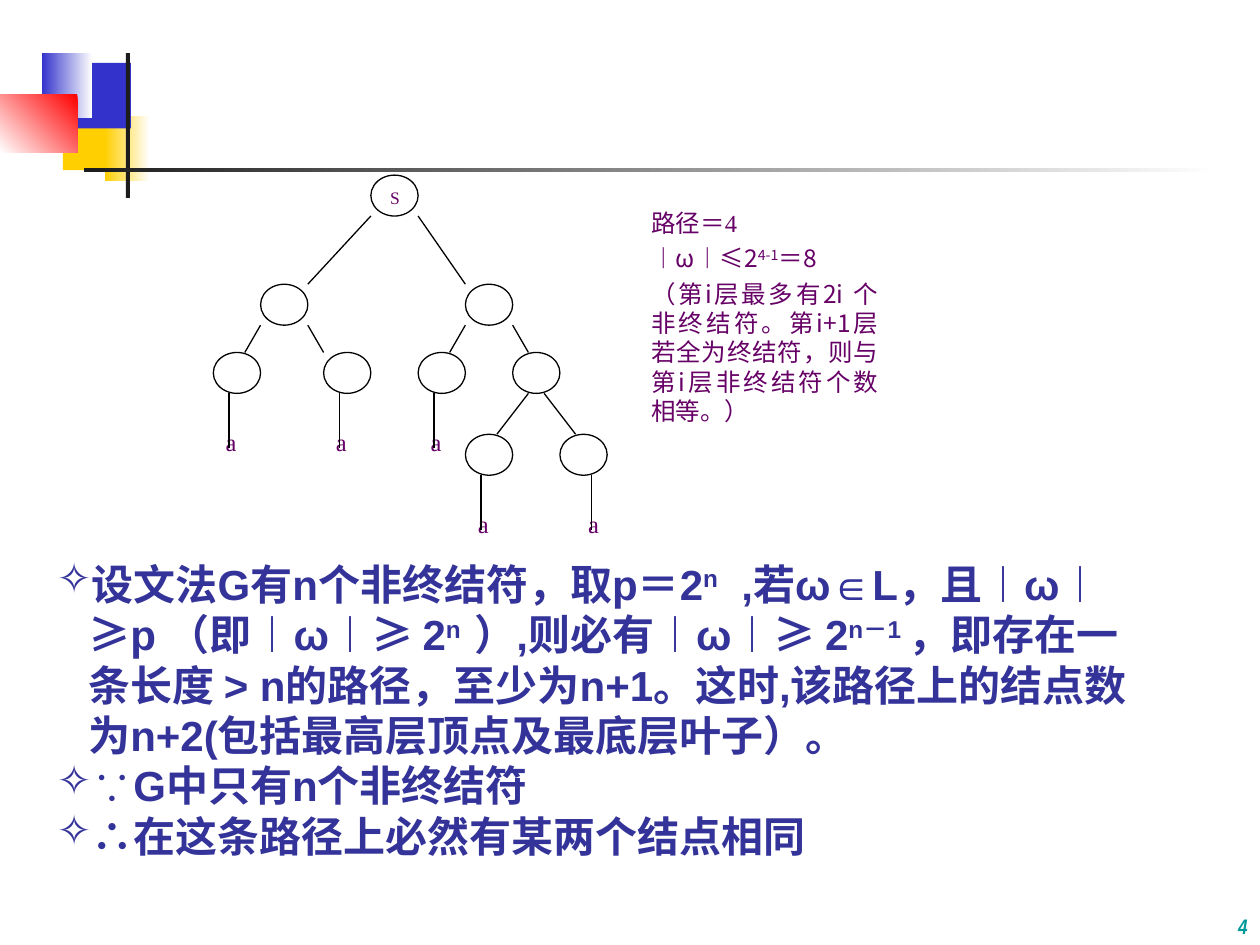
from typing import NamedTuple

from lxml.etree import SubElement
from pptx import Presentation
from pptx.dml.color import RGBColor
from pptx.enum.shapes import MSO_CONNECTOR, MSO_SHAPE
from pptx.enum.text import MSO_ANCHOR, PP_ALIGN
from pptx.oxml.ns import qn
from pptx.util import Cm, Pt

INK, PLUM, NAVY = "000000", "660066", "333399"
SANS, SERIF, HAN = "Arial", "Times New Roman", "Noto Sans CJK SC"

# The tree stands on a grid: a node is three cells wide and three high.
LEFT, TOP = 4.3, 3.53
DX, DY = 7.94 / 25, 6.05 / 22


class Block(NamedTuple):
    x: float
    y: float
    w: float
    h: float
    hue: str
    end: str = ""
    angle: int = 180


class Node(NamedTuple):
    col: int
    row: int
    text: str = ""


class Edge(NamedTuple):
    col: int
    row: int
    to_col: int
    to_row: int


class Run(NamedTuple):
    text: str
    sup: bool = False
    font: str = ""


BLOCKS = [
    Block(1.27, 2.11, 1.22, 1.32, "FFCF01"),
    Block(2.11, 2.34, 0.91, 1.32, "FFFFFF", "FFCF01"),
    Block(1.47, 1.27, 1.17, 1.32, "3333CC"),
    Block(0.84, 1.07, 1.02, 1.32, "FFFFFF", "3333CC"),
    Block(0, 1.9, 1.56, 1.17, "FF0000", "FFFFFF", 225),
    Block(2.54, 1.07, 0.08, 2.92, "1C1C1C"),
    Block(1.7, 3.38, 22.86, 0.08, "FFFFFF", "1C1C1C"),
]

NODES = [
    Node(10, 0, "S"),
    Node(3, 8), Node(16, 8),
    Node(0, 13), Node(7, 13), Node(13, 13), Node(19, 13),
    Node(16, 19), Node(22, 19),
]

EDGES = [
    Edge(10, 3, 6, 8), Edge(13, 3, 16, 8),
    Edge(3, 11, 2, 13), Edge(6, 11, 7, 13),
    Edge(16, 11, 15, 13), Edge(19, 11, 20, 13),
    Edge(20, 16, 18, 19), Edge(21, 16, 23, 19),
]

LEAVES = [Node(col, row, "a") for col, row in
          [(0, 18), (7, 18), (13, 18), (16, 24), (23, 24)]]

NOTE = [
    [Run("路径＝4")],
    [Run("︱"), Run("ω︱≤2", font=HAN), Run("4-1", True, HAN),
     Run("＝8", font=HAN)],
    [Run("（第i层最多有2i 个非终结符。第i+1层若全为终结符，"
         "则与第i层非终结符个数相等。）", font=HAN)],
]

PROOF = [
    [Run("设文法G有n个非终结符，取p＝2"), Run("n", True),
     Run("  ,若ω∈L，且︱ω︱≥p （即︱ω︱≥ 2"), Run("n  ", True),
     Run("）,则必有︱ω︱≥ 2"), Run("n－1 ", True),
     Run("，即存在一条长度 > n的路径，至少为n+1。这时,"
         "该路径上的结点数为n+2(包括最高层顶点及最底层叶子）。")],
    [Run("∵G中只有n个非终结符")],
    [Run("∴在这条路径上必然有某两个结点相同")],
]


def rgb(hue: str) -> RGBColor:
    return RGBColor.from_string(hue)


def grid(col: int, row: int) -> tuple:
    return Cm(LEFT + col * DX), Cm(TOP + row * DY)


def add_bullet(para, mark: str, hue: str) -> None:
    props = para._p.get_or_add_pPr()
    props.set("marL", str(Cm(0.64)))
    props.set("indent", str(-Cm(0.64)))
    tint = SubElement(props, qn("a:buClr"))
    SubElement(tint, qn("a:srgbClr")).set("val", hue)
    SubElement(props, qn("a:buChar")).set("char", mark)


def write(shape, paras, *, size, font=SERIF, hue=PLUM, bold=False,
          italic=False, align=PP_ALIGN.JUSTIFY, anchor=MSO_ANCHOR.TOP,
          line=None, gap=0, bullet="") -> None:
    frame = shape.text_frame
    frame.word_wrap = True
    frame.vertical_anchor = anchor
    for i, runs in enumerate(paras):
        para = frame.add_paragraph() if i else frame.paragraphs[0]
        para.alignment = align
        if line:
            para.line_spacing = Pt(line)
        if i and gap:
            para.space_before = Pt(gap)
        if bullet:
            add_bullet(para, bullet, hue)
        for item in runs:
            run = para.add_run()
            run.text = item.text
            face = run.font
            face.size, face.bold, face.italic = Pt(size), bold, italic
            face.color.rgb = rgb(hue)
            face.name = item.font or font
            props = run._r.get_or_add_rPr()
            SubElement(props, qn("a:ea")).set("typeface", HAN)
            if item.sup:
                props.set("baseline", "30000")


def add_box(shapes, x: float, y: float, w: float, h: float):
    return shapes.add_textbox(Cm(x), Cm(y), Cm(w), Cm(h))


def draw_block(shapes, block: Block) -> None:
    shape = shapes.add_shape(MSO_SHAPE.RECTANGLE, Cm(block.x), Cm(block.y),
                             Cm(block.w), Cm(block.h))
    shape.shadow.inherit = False
    shape.line.fill.background()
    if not block.end:
        shape.fill.solid()
        shape.fill.fore_color.rgb = rgb(block.hue)
        return
    shape.fill.gradient()
    shape.fill.gradient_angle = block.angle
    for stop, hue in zip(shape.fill.gradient_stops, (block.hue, block.end)):
        stop.color.rgb = rgb(hue)


def draw_node(shapes, node: Node) -> None:
    shape = shapes.add_shape(MSO_SHAPE.OVAL, *grid(node.col, node.row),
                             Cm(3 * DX), Cm(3 * DY))
    shape.shadow.inherit = False
    shape.fill.solid()
    shape.fill.fore_color.rgb = rgb("FFFFFF")
    shape.line.color.rgb = rgb(INK)
    shape.line.width = Pt(0.75)
    if node.text:
        write(shape, [[Run(node.text)]], size=10)


def draw_edge(shapes, edge: Edge) -> None:
    line = shapes.add_connector(MSO_CONNECTOR.STRAIGHT,
                                *grid(edge.col, edge.row),
                                *grid(edge.to_col, edge.to_row))
    line.line.color.rgb = rgb(INK)
    line.line.width = Pt(0.75)
    SubElement(line._element.spPr, qn("a:effectLst"))


def draw_leaf(shapes, leaf: Node) -> None:
    box = shapes.add_textbox(*grid(leaf.col, leaf.row), Cm(3 * DX), Cm(4 * DY))
    write(box, [[Run(leaf.text)]], size=14)
    stem = leaf.col + 1
    draw_edge(shapes, Edge(stem, leaf.row - 2, stem, leaf.row + 2))


def main() -> None:
    deck = Presentation()
    deck.slide_width, deck.slide_height = Cm(25.4), Cm(19.05)
    shapes = deck.slides.add_slide(deck.slide_layouts[6]).shapes
    for block in BLOCKS:
        draw_block(shapes, block)

    write(add_box(shapes, 0.89, 11.13, 22.48, 6.35), PROOF, size=24,
          font=SANS, hue=NAVY, bold=True, align=PP_ALIGN.LEFT, line=28.8,
          bullet="✧")

    tree = shapes.add_group_shape().shapes
    for edge in EDGES:
        draw_edge(tree, edge)
    for node in NODES:
        draw_node(tree, node)
    for leaf in LEAVES:
        draw_leaf(tree, leaf)
    write(add_box(tree, 12.88, 4.06, 5.08, 7.7), NOTE, size=14, line=16.8,
          gap=3.5)

    write(add_box(shapes, 21.16, 17.78, 4.24, 1.27), [[Run("4")]], size=12,
          font="Arial Narrow", hue="009999", bold=True, italic=True,
          align=PP_ALIGN.RIGHT, anchor=MSO_ANCHOR.BOTTOM)
    deck.save("out.pptx")


if __name__ == "__main__":
    main()
